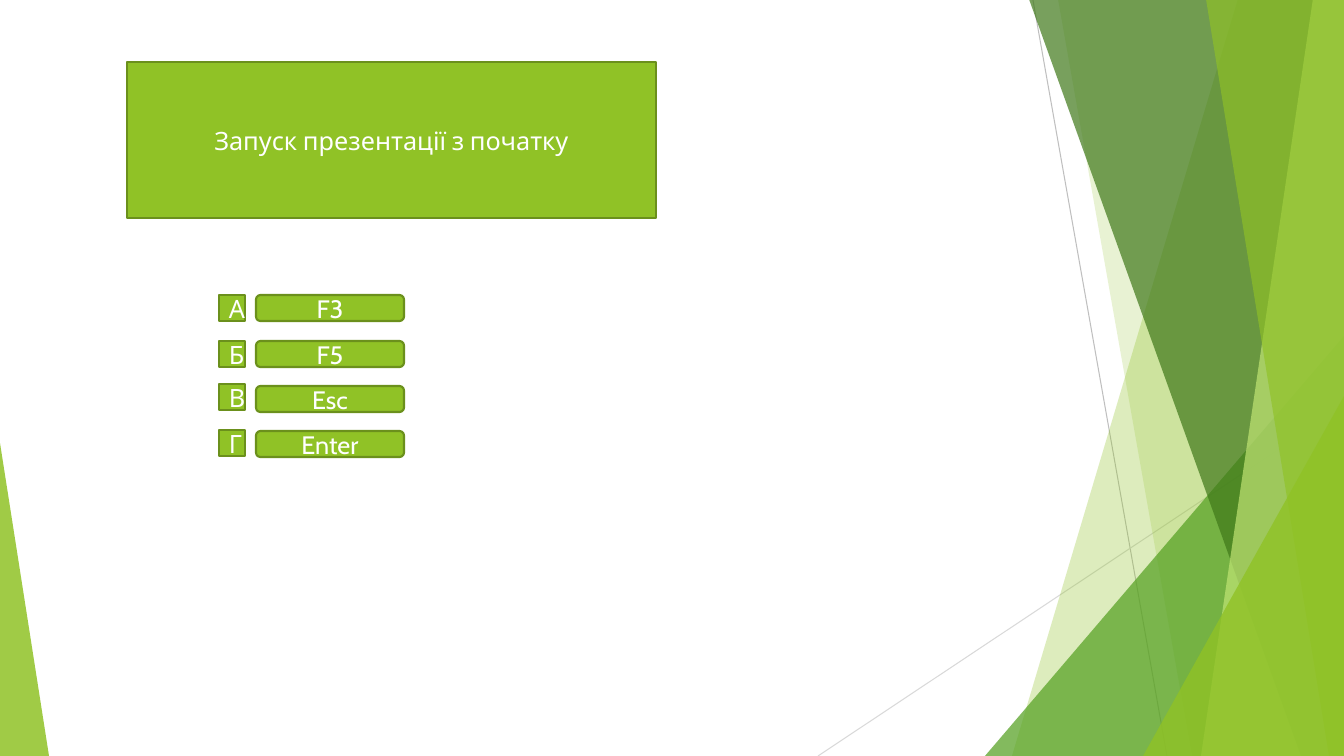
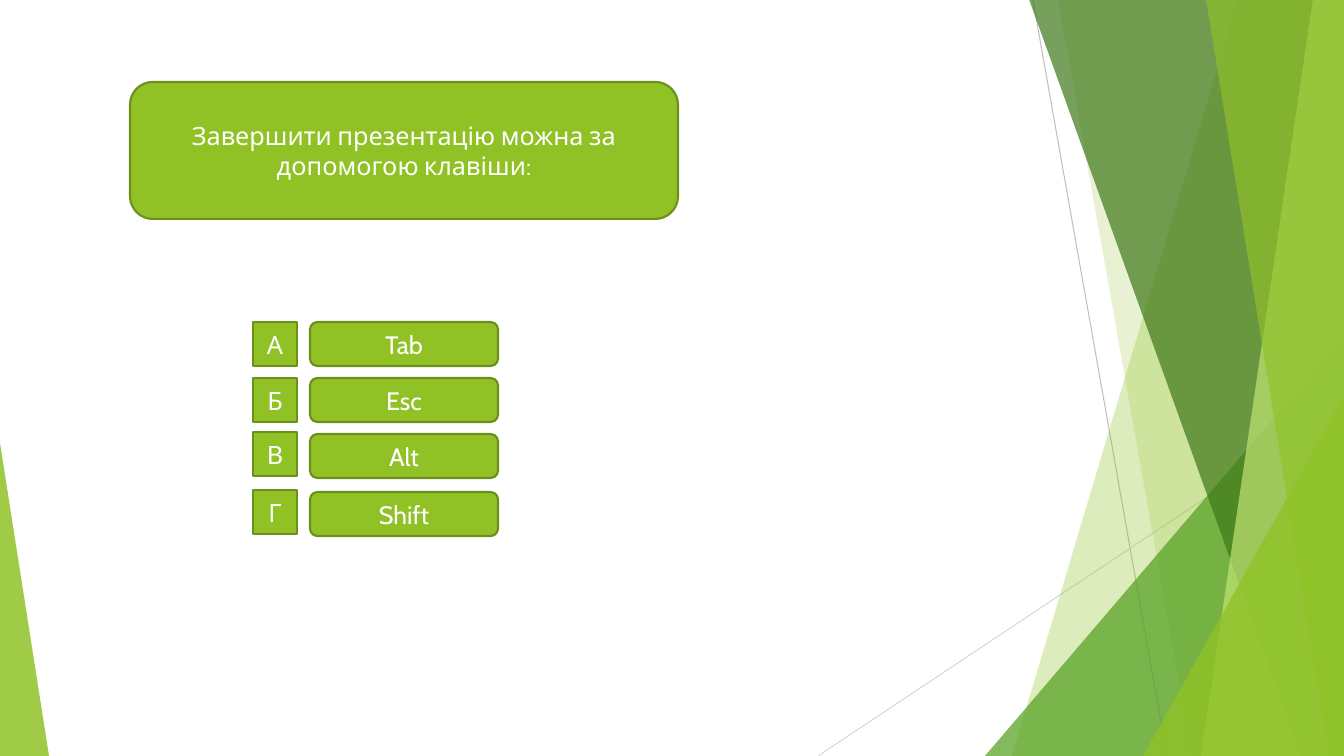
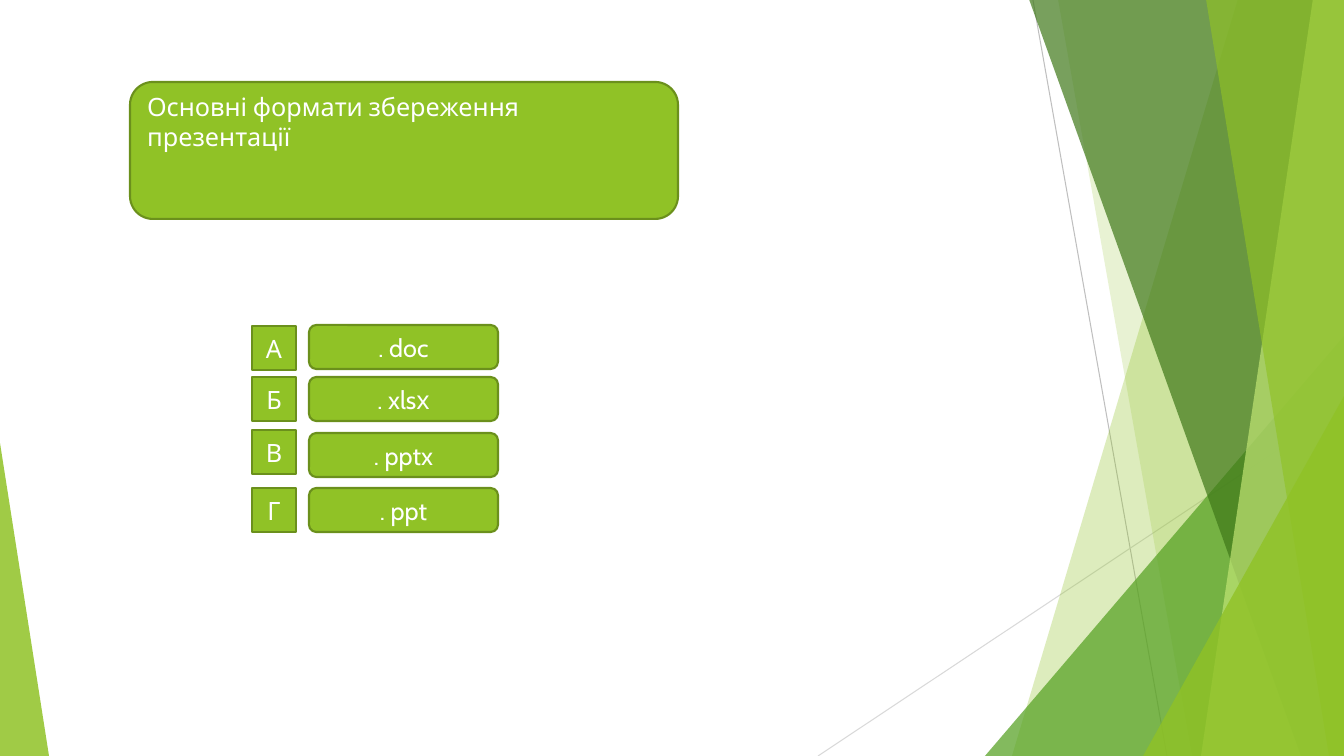
import pptx
import pptx.util
import pptx.dml.color
import pptx.enum.shapes
import pptx.enum.text
import pptx.oxml.ns
import lxml.etree
from dataclasses import dataclass

WIDE, HIGH = 1344, 756
SCALE = 12192000 / WIDE
KIND = pptx.enum.shapes.MSO_SHAPE
ALIGN = pptx.enum.text.PP_ALIGN
ANCHOR = pptx.enum.text.MSO_ANCHOR


@dataclass(frozen=True)
class Theme:
    lime: str = "90C226"
    edge: str = "6B901C"
    green: str = "54A021"
    dark: str = "3F7819"
    pale: str = "C0E474"
    white: str = "FFFFFF"
    rule: str = "BFBFBF"
    faint: str = "D9D9D9"
    font: str = "Cabin"
    size: int = 18
    line: float = 1.5
    thin: float = 0.75


THEME = Theme()


def px(n):
    return pptx.util.Emu(round(n * SCALE))


def rgb(code):
    return pptx.dml.color.RGBColor.from_string(code)


def child(node, tag, **attrs):
    return lxml.etree.SubElement(node, pptx.oxml.ns.qn(tag), **attrs)


# Shared parts
def tint(shape, color, alpha):
    shape.shadow.inherit = False
    shape.fill.solid()
    shape.fill.fore_color.rgb = rgb(color)
    shape.line.fill.background()
    mark = shape.element.spPr.find(".//" + pptx.oxml.ns.qn("a:srgbClr"))
    child(mark, "a:alpha", val=str(alpha * 1000))


def write(frame, text, align=ALIGN.CENTER, anchor=ANCHOR.MIDDLE):
    frame.word_wrap = True
    frame.auto_size = pptx.enum.text.MSO_AUTO_SIZE.NONE
    frame.vertical_anchor = anchor
    frame.text = text
    para = frame.paragraphs[0]
    para.alignment = align
    para.font.name = THEME.font
    para.font.size = pptx.util.Pt(THEME.size)
    para.font.color.rgb = rgb(THEME.white)


def panel(slide, kind, box):
    shape = slide.shapes.add_shape(kind, *map(px, box))
    shape.shadow.inherit = False
    shape.fill.solid()
    shape.fill.fore_color.rgb = rgb(THEME.lime)
    shape.line.color.rgb = rgb(THEME.edge)
    shape.line.width = pptx.util.Pt(THEME.line)
    return shape


# Backdrop: drawn once, then held by the layout
def rule(shapes, ends, color):
    line = shapes.add_connector(
        pptx.enum.shapes.MSO_CONNECTOR.STRAIGHT, *map(px, ends))
    line.line.color.rgb = rgb(color)
    line.line.width = pptx.util.Pt(THEME.thin)
    child(line.element.spPr, "a:effectLst")
    return line


def blade(shapes, top, foot, color, alpha):
    pen = shapes.build_freeform(top, -1, scale=SCALE)
    pen.add_line_segments([(WIDE, -1), (WIDE, HIGH), (foot, HIGH)], close=True)
    shape = pen.convert_to_shape()
    tint(shape, color, alpha)
    return shape


def wedge(shapes, left, top, width, tip, color, alpha):
    shape = shapes.add_shape(
        KIND.ISOSCELES_TRIANGLE, *map(px, (left, top, width, HIGH - top)))
    shape.adjustments[0] = tip
    tint(shape, color, alpha)
    return shape


def backdrop(slide, layout):
    shapes = slide.shapes
    parts = [
        rule(shapes, (1033, 0, 1167, HIGH), THEME.rule),
        rule(shapes, (WIDE, 406, 818, HIGH), THEME.faint),
        blade(shapes, 1238, 1012, THEME.lime, 30),
        blade(shapes, 1058, 1192, THEME.lime, 20),
        wedge(shapes, 985, 336, 359, 1, THEME.green, 72),
        blade(shapes, 1029, 1301, THEME.dark, 70),
        blade(shapes, 1313, 1201, THEME.pale, 70),
        blade(shapes, 1206, 1329, THEME.lime, 65),
        wedge(shapes, 1143, 396, 201, 1, THEME.lime, 80),
        wedge(shapes, 0, 443, 49, 0, THEME.lime, 85),
    ]
    for num, part in enumerate(parts, 100):
        part.element.xpath(".//p:cNvPr")[0].set("id", str(num))
        layout.shapes.element.append(part.element)


# Question: a panel with the title on it
def question(slide, box, text, kind, align, anchor):
    panel(slide, kind, box)
    left, top, width, height = box
    dx, dy = (7, 4) if kind == KIND.ROUNDED_RECTANGLE else (0, 0)
    title = slide.shapes.title
    title.left, title.top = px(left + dx), px(top + dy)
    title.width, title.height = px(width - 2 * dx), px(height - 2 * dy)
    write(title.text_frame, text, align, anchor)
    slide.shapes.element.append(title.element)


# Answers: letter key and wide button on each row
def answers(slide, box, side, gap, rows):
    left, top, width = box
    for letter, (text, drop, shift) in zip("АБВГ", rows):
        y = top + drop
        key = panel(slide, KIND.ACTION_BUTTON_CUSTOM,
                    (left, y + shift, side, side))
        write(key.text_frame, letter)
        inset = side + gap
        button = panel(slide, KIND.ROUNDED_RECTANGLE,
                       (left + inset, y, width - inset, side))
        write(button.text_frame, text)


# Each row: answer, drop from the top, shift of its letter key
QUIZ = [
    dict(ask=((127, 62, 529, 156), "Запуск презентації з початку",
              KIND.RECTANGLE, ALIGN.CENTER, ANCHOR.MIDDLE),
         pick=((219, 295, 185), 26, 11,
               [("F3", 0, 0), ("F5", 46, 0), ("Esc", 91, -2),
                ("Enter", 136, -1)])),
    dict(ask=((130, 82, 548, 137),
              "Завершити презентацію можна за допомогою клавіши:",
              KIND.ROUNDED_RECTANGLE, ALIGN.CENTER, ANCHOR.MIDDLE),
         pick=((253, 322, 245), 44, 13,
               [("Tab", 0, 0), ("Esc", 56, 0), ("Alt", 112, -2),
                ("Shift", 170, -2)])),
    dict(ask=((130, 82, 548, 137), "Основні формати збереження презентації",
              KIND.ROUNDED_RECTANGLE, ALIGN.LEFT, ANCHOR.TOP),
         pick=((252, 325, 246), 44, 13,
               [(". doc", 0, 1), (". xlsх", 52, 0), (". pptx", 108, -3),
                (". ppt", 163, 0)])),
]


def main():
    deck = pptx.Presentation()
    deck.slide_width, deck.slide_height = px(WIDE), px(HIGH)
    layout = deck.slide_layouts[5]
    slides = [deck.slides.add_slide(layout) for _ in QUIZ]
    backdrop(slides[0], layout)
    for slide, quiz in zip(slides, QUIZ):
        question(slide, *quiz["ask"])
        answers(slide, *quiz["pick"])
    deck.save("out.pptx")


if __name__ == "__main__":
    main()
